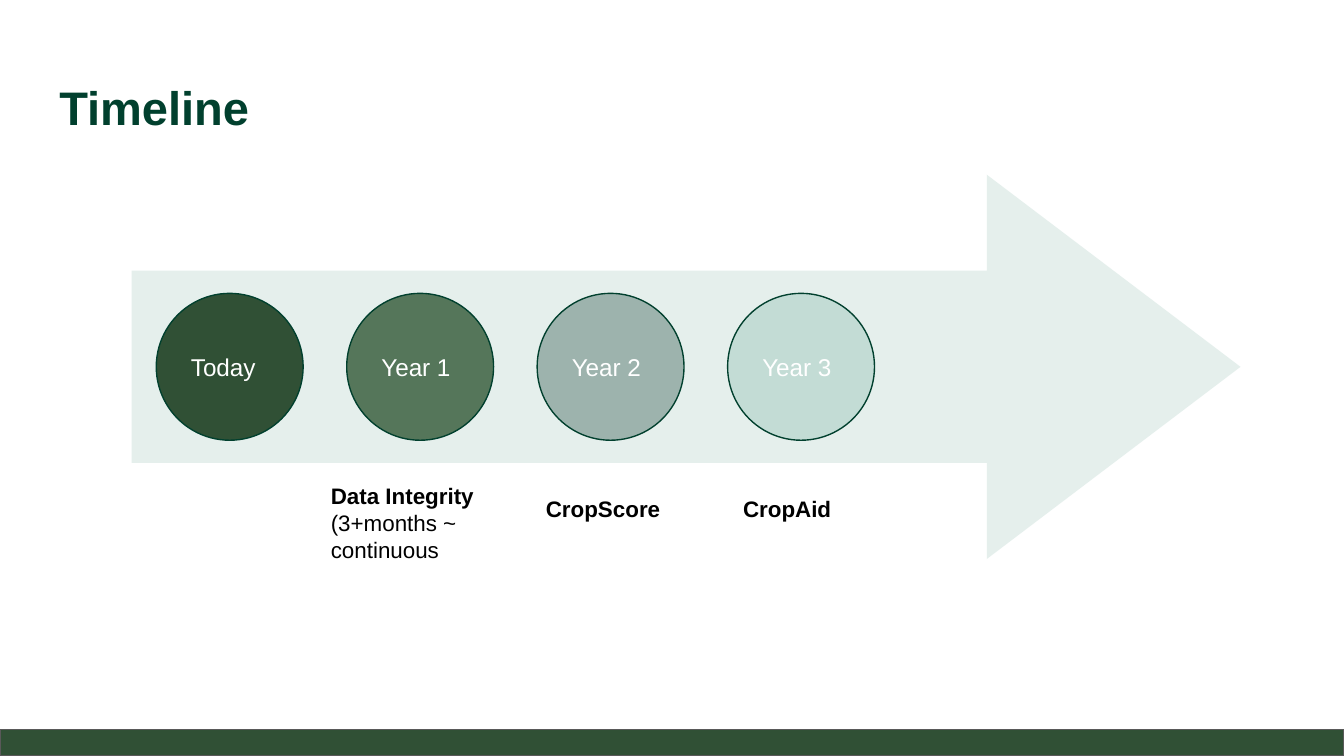
import dataclasses

import pptx
import pptx.dml.color
import pptx.enum.shapes
import pptx.enum.text
import pptx.oxml
import pptx.oxml.ns
import pptx.util

RGBColor = pptx.dml.color.RGBColor
PINE = RGBColor(0x01, 0x40, 0x2E)
MOSS = RGBColor(0x30, 0x50, 0x35)
FERN = RGBColor(0x55, 0x76, 0x5A)
SAGE = RGBColor(0x9D, 0xB3, 0xAD)
MINT = RGBColor(0xAF, 0xD0, 0xC7)
GREY = RGBColor(0x59, 0x59, 0x59)
WHITE = RGBColor(0xFF, 0xFF, 0xFF)
BLACK = RGBColor(0, 0, 0)

KIND = pptx.enum.shapes.MSO_SHAPE
ANCHOR = pptx.enum.text.MSO_ANCHOR
CELL = pptx.util.Inches(0.1)
COLS, ROWS = 100, 56.25
FIRST, STEP, SIZE = 11.63, 14.17, 10.93


@dataclasses.dataclass
class Box:
    col: float
    row: float
    wide: float
    high: float

    def spans(self) -> list[int]:
        return [round(n * CELL) for n in (self.col, self.row, self.wide, self.high)]


@dataclasses.dataclass
class Stage:
    name: str
    fill: RGBColor
    alpha: int = 100


@dataclasses.dataclass
class Label:
    box: Box
    lines: list[str]


STAGES = [
    Stage("Today", MOSS),
    Stage("Year 1", FERN),
    Stage("Year 2", SAGE),
    Stage("Year 3", MINT, 61),
]
LABELS = [
    Label(Box(23.63, 34.9, 14.8, 8.1), ["Data Integrity", "(3+months ~ continuous"]),
    Label(Box(39.63, 35.86, 11.5, 6.1), ["CropScore"]),
    Label(Box(54.3, 35.86, 11.5, 4), ["CropAid"]),
]


def write(shape, lines: list[str], *, size: float, color: RGBColor,
          bold: bool = False, anchor=ANCHOR.TOP) -> None:
    frame = shape.text_frame
    frame.word_wrap = True
    frame.auto_size = pptx.enum.text.MSO_AUTO_SIZE.NONE
    frame.vertical_anchor = anchor
    frame.margin_left = frame.margin_right = CELL
    frame.margin_top = frame.margin_bottom = CELL
    for i, line in enumerate(lines):
        para = frame.paragraphs[0] if i == 0 else frame.add_paragraph()
        para.alignment = pptx.enum.text.PP_ALIGN.LEFT
        run = para.add_run()
        run.text = line
        run.font.name = "Arial"
        run.font.size = pptx.util.Pt(size)
        run.font.bold = bold and i == 0
        run.font.color.rgb = color


def draw(slide, kind, box: Box, fill: RGBColor, alpha: int = 100,
         line: RGBColor | None = None):
    shape = slide.shapes.add_shape(kind, *box.spans())
    shape.shadow.inherit = False
    shape.fill.solid()
    shape.fill.fore_color.rgb = fill
    if alpha < 100:
        tint = shape.fill._xPr.find(".//" + pptx.oxml.ns.qn("a:srgbClr"))
        tint.append(pptx.oxml.parse_xml(
            f'<a:alpha {pptx.oxml.ns.nsdecls("a")} val="{alpha * 1000}"/>'))
    if line is None:
        shape.line.fill.background()
    else:
        shape.line.color.rgb = line
        shape.line.width = pptx.util.Pt(0.75)
    return shape


def main() -> None:
    deck = pptx.Presentation()
    deck.slide_width = COLS * CELL
    deck.slide_height = round(ROWS * CELL)
    slide = deck.slides.add_slide(deck.slide_layouts[5])

    arrow = draw(slide, KIND.RIGHT_ARROW, Box(9.8, 13, 82.5, 28.6), MINT, 32)
    arrow.adjustments[0] = 0.5
    arrow.adjustments[1] = 0.66

    for i, stage in enumerate(STAGES):
        box = Box(FIRST + i * STEP, 21.83, SIZE, SIZE)
        disc = draw(slide, KIND.FLOWCHART_CONNECTOR, box, stage.fill, stage.alpha, PINE)
        write(disc, [stage.name], size=13, color=WHITE, anchor=ANCHOR.MIDDLE)

    title = slide.shapes.title
    title.left, title.top, title.width, title.height = Box(3.41, 4.86, 93.2, 6.3).spans()
    write(title, ["Timeline"], size=25.2, color=PINE, bold=True)

    draw(slide, KIND.RECTANGLE, Box(0, 54.3, COLS, 1.95), MOSS, line=GREY)

    for label in LABELS:
        text = slide.shapes.add_textbox(*label.box.spans())
        write(text, label.lines, size=12, color=BLACK, bold=True)

    deck.save("out.pptx")


if __name__ == "__main__":
    main()
